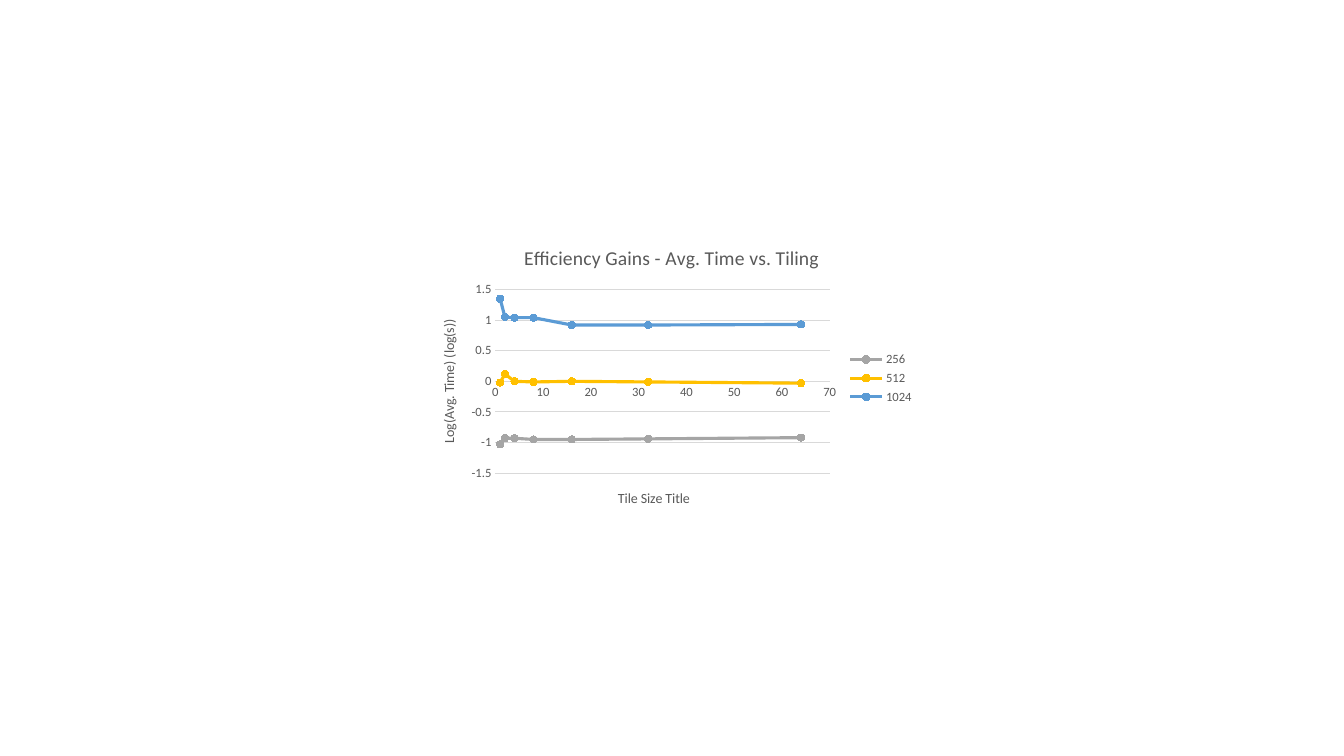
import pptx
import pptx.chart.data
import pptx.dml.color
import pptx.enum.chart
import pptx.util

Cm = pptx.util.Cm
Pt = pptx.util.Pt
RGBColor = pptx.dml.color.RGBColor

TEXT_GREY = RGBColor(0x59, 0x59, 0x59)
LINE_GREY = RGBColor(0xD9, 0xD9, 0xD9)
SERIES_GREY = RGBColor(0xA5, 0xA5, 0xA5)
SERIES_GOLD = RGBColor(0xFF, 0xC0, 0x00)
SERIES_BLUE = RGBColor(0x5B, 0x9B, 0xD5)

FONT_NAME = "Calibri"
TILE_SIZES = [2 ** power for power in range(7)]
LOG_TIMES = {
    "256": (SERIES_GREY, [-1.03, -0.93, -0.93, -0.95, -0.95, -0.94, -0.92]),
    "512": (SERIES_GOLD, [-0.02, 0.12, 0, -0.01, 0, -0.01, -0.03]),
    "1024": (SERIES_BLUE, [1.35, 1.05, 1.04, 1.04, 0.92, 0.92, 0.93]),
}


def style_font(font, size):
    font.name = FONT_NAME
    font.size = Pt(size)
    font.bold = False
    font.color.rgb = TEXT_GREY


def style_line(line, color, width):
    line.color.rgb = color
    line.width = Pt(width)


def set_title(owner, text, size):
    text_frame = owner.text_frame
    text_frame.text = text
    style_font(text_frame.paragraphs[0].runs[0].font, size)


def style_axis(axis, title, minimum, maximum, step):
    axis.minimum_scale = minimum
    axis.maximum_scale = maximum
    axis.major_unit = step
    axis.major_tick_mark = pptx.enum.chart.XL_TICK_MARK.NONE
    axis.minor_tick_mark = pptx.enum.chart.XL_TICK_MARK.NONE
    axis.tick_label_position = pptx.enum.chart.XL_TICK_LABEL_POSITION.NEXT_TO_AXIS
    axis.tick_labels.number_format = "General"
    axis.tick_labels.number_format_is_linked = False
    style_font(axis.tick_labels.font, 9)
    set_title(axis.axis_title, title, 10)


def style_series(series, color):
    series.smooth = True
    style_line(series.format.line, color, 2.25)
    marker = series.marker
    marker.style = pptx.enum.chart.XL_MARKER_STYLE.CIRCLE
    marker.size = 5
    marker.format.fill.solid()
    marker.format.fill.fore_color.rgb = color
    style_line(marker.format.line, color, 0.75)


def add_scatter_chart(slide):
    chart_data = pptx.chart.data.XyChartData()
    for name, (color, log_times) in LOG_TIMES.items():
        series_data = chart_data.add_series(name)
        for tile_size, log_time in zip(TILE_SIZES, log_times):
            series_data.add_data_point(tile_size, log_time)
    chart = slide.shapes.add_chart(
        pptx.enum.chart.XL_CHART_TYPE.XY_SCATTER_SMOOTH,
        Cm(10.57), Cm(5.77), Cm(12.72), Cm(7.52), chart_data,
    ).chart
    chart.font.name = FONT_NAME
    chart.font.size = Pt(10)
    chart.plots[0].vary_by_categories = False
    for series in chart.plots[0].series:
        style_series(series, LOG_TIMES[series.name][0])
    return chart


def style_legend(chart):
    chart.has_legend = True
    chart.legend.position = pptx.enum.chart.XL_LEGEND_POSITION.RIGHT
    chart.legend.include_in_layout = False
    style_font(chart.legend.font, 9)


def main():
    presentation = pptx.Presentation()
    presentation.slide_width = Cm(33.87)
    presentation.slide_height = Cm(19.05)
    slide = presentation.slides.add_slide(presentation.slide_layouts[6])

    chart = add_scatter_chart(slide)
    set_title(chart.chart_title, "Efficiency Gains - Avg. Time vs. Tiling", 14)
    style_legend(chart)

    tile_axis = chart.category_axis
    style_axis(tile_axis, "Tile Size Title", 0, 70, 10)
    tile_axis.has_major_gridlines = False
    style_line(tile_axis.format.line, LINE_GREY, 0.75)

    time_axis = chart.value_axis
    style_axis(time_axis, "Log(Avg. Time) (log(s))", -1.5, 1.5, 0.5)
    time_axis.has_major_gridlines = True
    style_line(time_axis.major_gridlines.format.line, LINE_GREY, 0.75)
    time_axis.format.line.fill.background()

    presentation.save("out.pptx")


main()
